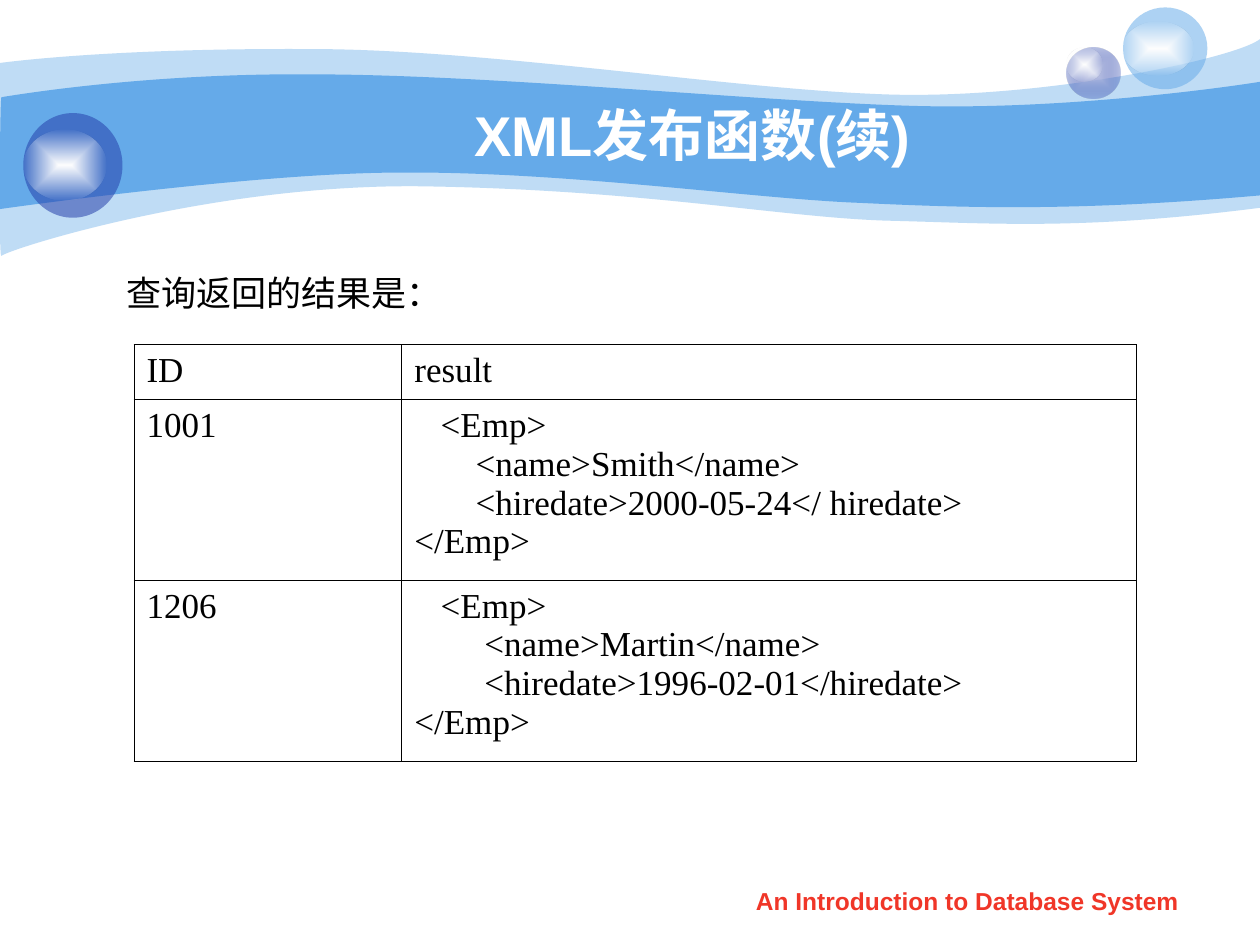
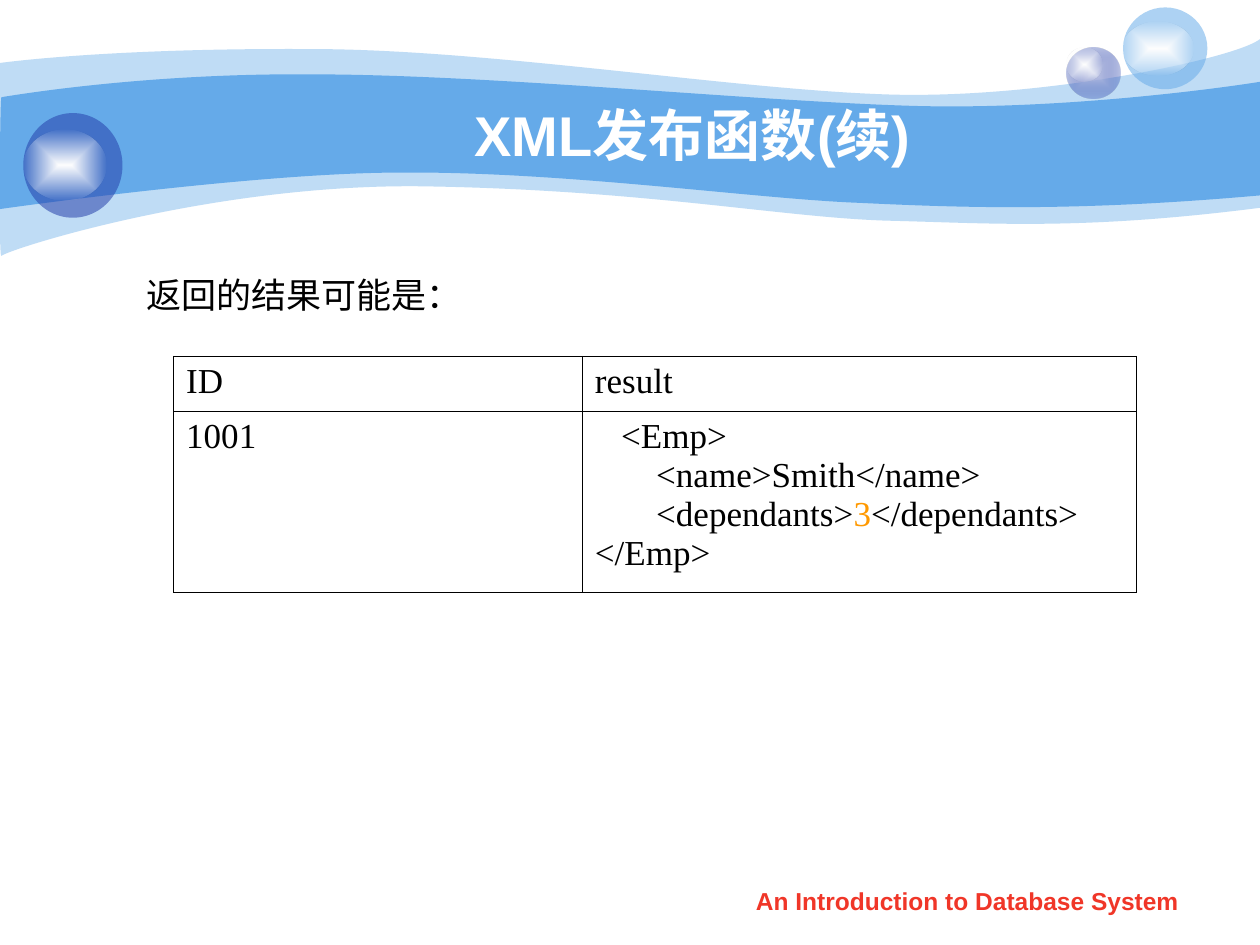
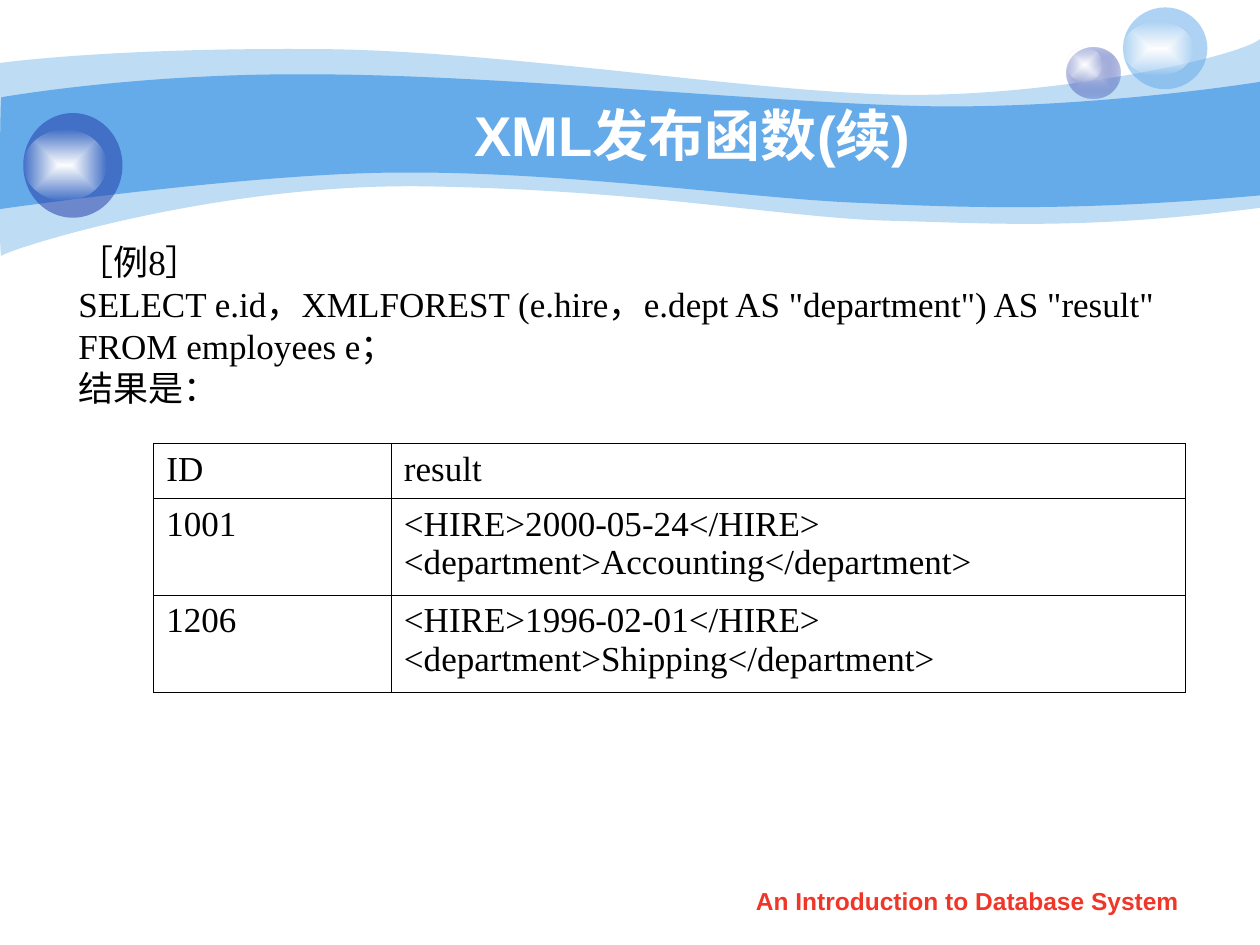
from dataclasses import dataclass

import pptx
import pptx.dml.color
import pptx.enum.shapes
import pptx.enum.text
import pptx.oxml
import pptx.oxml.ns
import pptx.util
from lxml import etree

Cm = pptx.util.Cm
qn = pptx.oxml.ns.qn

SKY, NAVY, LILAC = "65AAE9", "233DA9", "C6CCE8"
WHITE, BLACK, RED, ORANGE = "FFFFFF", "000000", "F03628", "FF9900"
HEADING_FONT, BODY_FONT = "Arial", "Times New Roman"
TITLE = "XML发布函数(续)"
FOOTER = "An Introduction to Database System"
HEADER_HEIGHT = 1.11
BORDER_PT = 0.45
ACCENT_MARK = "|"  # encloses the part of a line shown in the accent colour

Point = tuple[float, float]
Box = tuple[float, float, float, float]


@dataclass(frozen=True)
class Wave:
    """Outline in cm: each segment is one line end or three Bezier points."""
    start: Point
    segments: tuple[tuple[Point, ...], ...]
    opacity: int


@dataclass(frozen=True)
class Orb:
    ball: Box
    shine: Box
    color: str
    opacity: int
    core: str = ""


@dataclass(frozen=True)
class ResultTable:
    left: float
    top: float
    columns: tuple[float, float]
    row_height: float
    records: tuple[tuple[str, tuple[str, ...]], ...]


@dataclass(frozen=True)
class Page:
    intro: tuple[str, ...]
    intro_box: Box
    result: ResultTable


WAVES = (
    Wave((0, 1.27), (
        ((0.61, 1.19), (2.72, 0.97), (6.27, 0.99)),
        ((9.8, 0.99), (14.6, 1.78), (17.75, 1.9)),
        ((20.88, 2.03), (24.89, 1.19), (25.4, 0.79)),
        ((25.4, 4.19),),
        ((21.79, 4.65), (19.99, 4.5), (17.91, 4.45)),
        ((15.8, 4.39), (13.08, 3.84), (8.71, 3.76)),
        ((4.37, 3.66), (0.1, 5.05), (0.03, 5.16)),
        ((-0.03, 5.28), (0, 1.9), (0, 1.27)),
    ), 41),
    Wave((0.03, 1.96), (
        ((0.05, 1.96), (2.79, 1.47), (6.3, 1.5)),
        ((9.8, 1.5), (15.11, 2.03), (18.24, 2.13)),
        ((21.36, 2.24), (24.79, 1.75), (25.4, 1.65)),
        ((25.4, 3.94),),
        ((21.67, 4.27), (19.43, 4.19), (17.32, 4.09)),
        ((15.21, 4.01), (11.35, 3.45), (8.05, 3.48)),
        ((5.16, 3.48), (-0.05, 4.22), (-0.03, 4.22)),
        ((0, 4.22), (0, 1.96), (0.03, 1.96)),
    ), 100),
)

ORBS = (
    Orb((21.5, 0.95, 1.08, 1.03), (21.5, 0.95, 0.72, 0.69), NAVY, 31, LILAC),
    Orb((22.64, 0.15, 1.7, 1.65), (22.64, 0.43, 1.42, 1.09), SKY, 53),
    Orb((0.47, 2.28, 2.0, 2.11), (0.47, 2.62, 1.67, 1.42), NAVY, 53),
)

PAGES = (
    Page(("查询返回的结果是：",), (2.3, 5.33, 6.86, 1.12),
         ResultTable(2.7, 6.95, (5.4, 14.81), 3.64, (
             ("1001", ("   <Emp>",
                       "       <name>Smith</name>",
                       "       <hiredate>2000-05-24</ hiredate>",
                       "</Emp>")),
             ("1206", ("   <Emp>",
                       "        <name>Martin</name>",
                       "        <hiredate>1996-02-01</hiredate>",
                       "</Emp>")),
         ))),
    Page(("返回的结果可能是：",), (2.7, 5.38, 6.86, 1.12),
         ResultTable(3.5, 7.18, (8.24, 11.17), 3.65, (
             ("1001", ("   <Emp>",
                       "       <name>Smith</name>",
                       "       <dependants>|3|</dependants>",
                       "</Emp>")),
         ))),
    Page(("［例8］",
          'SELECT e.id，XMLFOREST (e.hire，e.dept AS "department") AS "result"',
          "FROM employees e；",
          "结果是："), (1.33, 4.72, 22.96, 3.66),
         ResultTable(3.1, 8.94, (4.79, 16.01), 1.95, (
             ("1001", ("<HIRE>2000-05-24</HIRE>",
                       "<department>Accounting</department>")),
             ("1206", ("<HIRE>1996-02-01</HIRE>",
                       "<department>Shipping</department>")),
         ))),
)


def rgb(color: str) -> pptx.dml.color.RGBColor:
    return pptx.dml.color.RGBColor.from_string(color)


def cm_box(box: Box) -> list[int]:
    return [Cm(length) for length in box]


def style_run(run, size: float, font: str, color: str, bold: bool = False) -> None:
    run.font.size = pptx.util.Pt(size)
    run.font.name = font
    run.font.bold = bold
    run.font.color.rgb = rgb(color)


def fill_solid(shape, color: str, opacity: int) -> None:
    shape.shadow.inherit = False
    shape.line.fill.background()
    shape.fill.solid()
    shape.fill.fore_color.rgb = rgb(color)
    if opacity < 100:
        solid = shape.element.spPr.find(qn("a:solidFill"))
        etree.SubElement(solid[0], qn("a:alpha"), val=str(opacity * 1000))


def fill_glow(shape, core: str, rim: str, rim_opacity: int) -> None:
    """Fill from a core colour in the middle to a translucent rim."""
    fill_solid(shape, rim, 100)
    glow = pptx.oxml.parse_xml(
        f'<a:gradFill {pptx.oxml.ns.nsdecls("a")} rotWithShape="1"><a:gsLst>'
        f'<a:gs pos="0"><a:srgbClr val="{core}"/></a:gs>'
        f'<a:gs pos="100000"><a:srgbClr val="{rim}">'
        f'<a:alpha val="{rim_opacity * 1000}"/></a:srgbClr></a:gs></a:gsLst>'
        '<a:path path="rect"><a:fillToRect l="50000" t="50000" r="50000" b="50000"/>'
        '</a:path></a:gradFill>')
    properties = shape.element.spPr
    properties.replace(properties.find(qn("a:solidFill")), glow)


def bend_edges(band, segments: tuple[tuple[Point, ...], ...]) -> None:
    """Turn the straight edges of a freeform into its Bezier segments."""
    edges = list(band.element.iter(qn("a:lnTo")))
    for edge, segment in zip(edges, segments):
        if len(segment) == 1:
            continue
        curve = etree.Element(qn("a:cubicBezTo"))
        for x, y in segment:
            etree.SubElement(curve, qn("a:pt"),
                             x=str(Cm(x) - band.left), y=str(Cm(y) - band.top))
        edge.getparent().replace(edge, curve)


def draw_wave(shapes, wave: Wave):
    builder = shapes.build_freeform(*(Cm(length) for length in wave.start))
    builder.add_line_segments(
        [(Cm(x), Cm(y)) for x, y in (segment[-1] for segment in wave.segments)],
        close=True)
    band = builder.convert_to_shape()
    bend_edges(band, wave.segments)
    fill_solid(band, SKY, wave.opacity)
    return band


def draw_orb(shapes, orb: Orb):
    group = shapes.add_group_shape()
    oval = pptx.enum.shapes.MSO_SHAPE.OVAL
    ball = group.shapes.add_shape(oval, *cm_box(orb.ball))
    if orb.core:
        fill_glow(ball, orb.core, orb.color, orb.opacity)
    else:
        fill_solid(ball, orb.color, orb.opacity)
    shine = group.shapes.add_shape(oval, *cm_box(orb.shine))
    fill_glow(shine, WHITE, "FEFEFE", 0)
    return group


def decorate_layout(layout, slide) -> None:
    """Draw the backdrop with the slide's shape builder, then move it to the layout."""
    for placeholder in list(layout.placeholders):
        if placeholder.placeholder_format.idx != 0:
            layout.shapes.element.remove(placeholder.element)
    backdrop = [draw_wave(slide.shapes, wave) for wave in WAVES]
    backdrop += [draw_orb(slide.shapes, orb) for orb in ORBS]
    for position, part in enumerate(backdrop, start=2):
        layout.shapes.element.insert(position, part.element)


def write_title(slide) -> None:
    title = slide.shapes.title
    title.left, title.top, title.width, title.height = cm_box((3.7, 1.91, 20.52, 1.57))
    frame = title.text_frame
    frame.text = TITLE
    frame.auto_size = pptx.enum.text.MSO_AUTO_SIZE.NONE
    frame.vertical_anchor = pptx.enum.text.MSO_ANCHOR.MIDDLE
    frame.paragraphs[0].alignment = pptx.enum.text.PP_ALIGN.CENTER
    style_run(frame.paragraphs[0].runs[0], 32, HEADING_FONT, WHITE, bold=True)


def write_footer(slide) -> None:
    frame = slide.shapes.add_textbox(*cm_box((14.5, 17.73, 10.01, 0.89))).text_frame
    frame.word_wrap = True
    frame.text = FOOTER
    frame.paragraphs[0].alignment = pptx.enum.text.PP_ALIGN.CENTER
    style_run(frame.paragraphs[0].runs[0], 14, HEADING_FONT, RED, bold=True)


def write_lines(frame, lines: tuple[str, ...]) -> None:
    for index, line in enumerate(lines):
        paragraph = frame.paragraphs[0] if index == 0 else frame.add_paragraph()
        for part, text in enumerate(line.split(ACCENT_MARK)):
            run = paragraph.add_run()
            run.text = text
            style_run(run, 20, BODY_FONT, ORANGE if part % 2 else BLACK)


def write_intro(slide, page: Page) -> None:
    frame = slide.shapes.add_textbox(*cm_box(page.intro_box)).text_frame
    frame.word_wrap = False
    frame.auto_size = pptx.enum.text.MSO_AUTO_SIZE.SHAPE_TO_FIT_TEXT
    frame.vertical_anchor = pptx.enum.text.MSO_ANCHOR.MIDDLE
    write_lines(frame, page.intro)


def outline_cell(cell) -> None:
    properties = cell._tc.get_or_add_tcPr()
    for side in ("lnL", "lnR", "lnT", "lnB"):
        border = etree.SubElement(properties, qn(f"a:{side}"),
                                  w=str(pptx.util.Pt(BORDER_PT)))
        solid = etree.SubElement(border, qn("a:solidFill"))
        etree.SubElement(solid, qn("a:srgbClr"), val=BLACK)
    cell.fill.background()


def draw_result(slide, result: ResultTable) -> None:
    rows = (("ID", ("result",)),) + result.records
    heights = [HEADER_HEIGHT] + [result.row_height] * len(result.records)
    table = slide.shapes.add_table(
        len(rows), len(result.columns), Cm(result.left), Cm(result.top),
        Cm(sum(result.columns)), Cm(sum(heights))).table
    table.first_row = table.horz_banding = False
    for column, width in zip(table.columns, result.columns):
        column.width = Cm(width)
    for row, height, (employee_id, xml_lines) in zip(table.rows, heights, rows):
        row.height = Cm(height)
        for cell, lines in zip(row.cells, ((employee_id,), xml_lines)):
            outline_cell(cell)
            write_lines(cell.text_frame, lines)


def main() -> None:
    deck = pptx.Presentation()
    deck.slide_width, deck.slide_height = Cm(25.4), Cm(19.05)
    layout = deck.slide_layouts.get_by_name("Title Only")
    for number, page in enumerate(PAGES):
        slide = deck.slides.add_slide(layout)
        if number == 0:
            decorate_layout(layout, slide)
        write_title(slide)
        write_intro(slide, page)
        draw_result(slide, page.result)
        write_footer(slide)
    deck.save("out.pptx")


if __name__ == "__main__":
    main()
